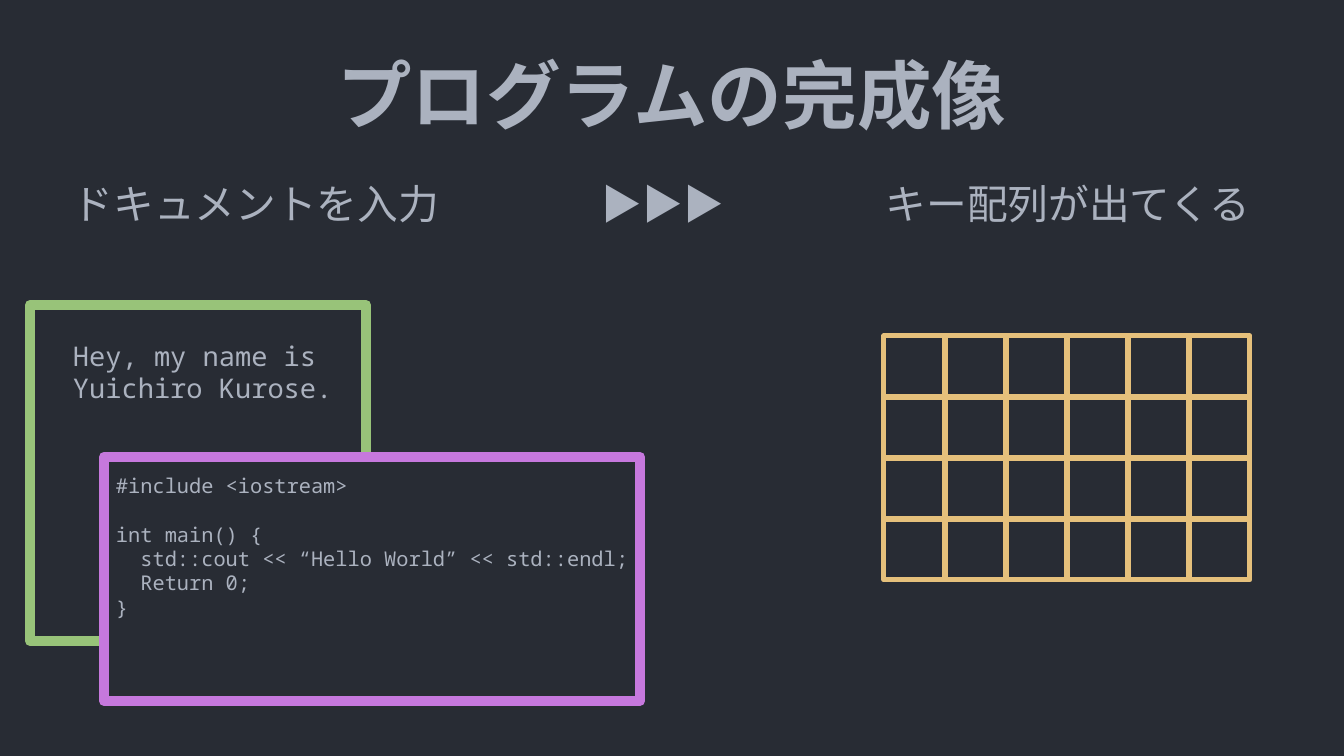
from pptx import Presentation
from pptx.dml.color import RGBColor
from pptx.enum.shapes import MSO_CONNECTOR, MSO_SHAPE
from pptx.enum.text import MSO_ANCHOR, MSO_AUTO_SIZE, PP_ALIGN
from pptx.oxml.ns import qn
from pptx.util import Pt
from lxml.etree import SubElement

PX = 914400 // 122
COLORS = {
    "back": "282C34",
    "text": "ABB2BF",
    "green": "98C379",
    "purple": "C678DD",
    "yellow": "E5C07B",
}
RGB = {name: RGBColor.from_string(value) for name, value in COLORS.items()}


def add_frame(x, y, w, h, color, weight):
    sp = s.shapes.add_shape(MSO_SHAPE.RECTANGLE, x * PX, y * PX, w * PX, h * PX)
    sp.shadow.inherit = False
    sp.fill.solid()
    sp.fill.fore_color.rgb = RGB["back"]
    sp.line.color.rgb = RGB[color]
    sp.line.width = Pt(weight)
    return sp


def add_text(x, y, w, h, lines, size, font, wrap=True, tabs=()):
    sp = s.shapes.add_textbox(x * PX, y * PX, w * PX, h * PX)
    tf = sp.text_frame
    tf.word_wrap = wrap
    for i, line in enumerate(lines):
        p = tf.paragraphs[0] if i == 0 else tf.add_paragraph()
        p.text = line
        if tabs:
            tab_list = SubElement(p._p.get_or_add_pPr(), qn("a:tabLst"))
            for pos in tabs:
                SubElement(tab_list, qn("a:tab"), pos=str(pos * PX), algn="l")
        p.font.size = Pt(size)
        p.font.name = font
        p.font.color.rgb = RGB["text"]
    return tf


prs = Presentation()
prs.slide_width, prs.slide_height = 1344 * PX, 756 * PX
s = prs.slides.add_slide(prs.slide_layouts[5])
s.background.fill.solid()
s.background.fill.fore_color.rgb = RGB["back"]

title = s.shapes.title
title.left, title.top, title.width, title.height = 67 * PX, 30 * PX, 1210 * PX, 127 * PX
tf = title.text_frame
tf.text = "プログラムの完成像"
tf.auto_size = MSO_AUTO_SIZE.NONE
tf.vertical_anchor = MSO_ANCHOR.MIDDLE
tf.margin_left = tf.margin_right = tf.margin_top = tf.margin_bottom = 0
p = tf.paragraphs[0]
p.alignment = PP_ALIGN.CENTER
p.font.size = Pt(44)
p.font.bold = True
p.font.name = "Times New Roman"
p.font.color.rgb = RGB["text"]

add_frame(30, 305, 336, 336, "green", 6)
add_text(61, 333, 305, 155, ["Hey, my name is Yuichiro Kurose."], 16, "Noto Sans Mono")

add_frame(104, 457, 536, 244, "purple", 6)
code = [
    "#include <iostream>",
    "int main() {",
    "  std::cout << “Hello World” << std::endl;",
    "  Return 0;",
    "}",
]
tf = add_text(104, 467, 538, 173, code, 12, "Noto Sans Mono", wrap=False)
tf.paragraphs[1].space_before = Pt(14.4)

steps = "ドキュメントを入力\t▶▶▶\tキー配列が出てくる"
add_text(61, 173, 1220, 71, [steps], 24, "Times New Roman", tabs=(529, 813))

left, top, key, cols, rows = 884, 336, 61, 6, 4
right, bottom = left + cols * key, top + rows * key
board = add_frame(left, top, cols * key, rows * key, "yellow", 3)
row_lines = [(left, top + i * key, right, top + i * key) for i in range(1, rows)]
col_lines = [(left + i * key, top, left + i * key, bottom) for i in range(1, cols)]
middles = {row_lines[rows // 2 - 1]: (1, 3), col_lines[cols // 2 - 1]: (0, 2)}
for ends in row_lines + col_lines:
    cxn = s.shapes.add_connector(MSO_CONNECTOR.STRAIGHT, *(v * PX for v in ends))
    cxn.line.color.rgb = RGB["yellow"]
    cxn.line.width = Pt(3)
    SubElement(cxn._element.spPr, qn("a:effectLst"))
    if ends in middles:
        start, end = middles[ends]
        cxn.begin_connect(board, start)
        cxn.end_connect(board, end)

prs.save("out.pptx")
